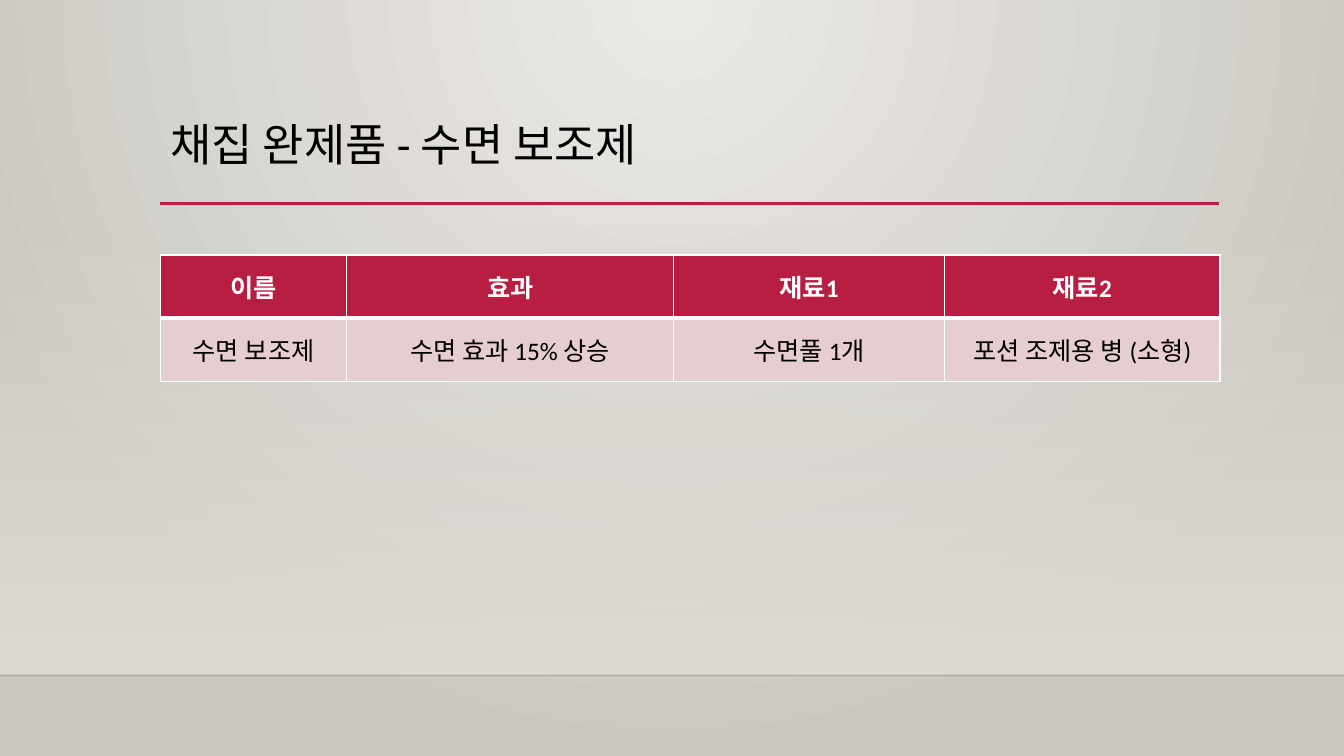
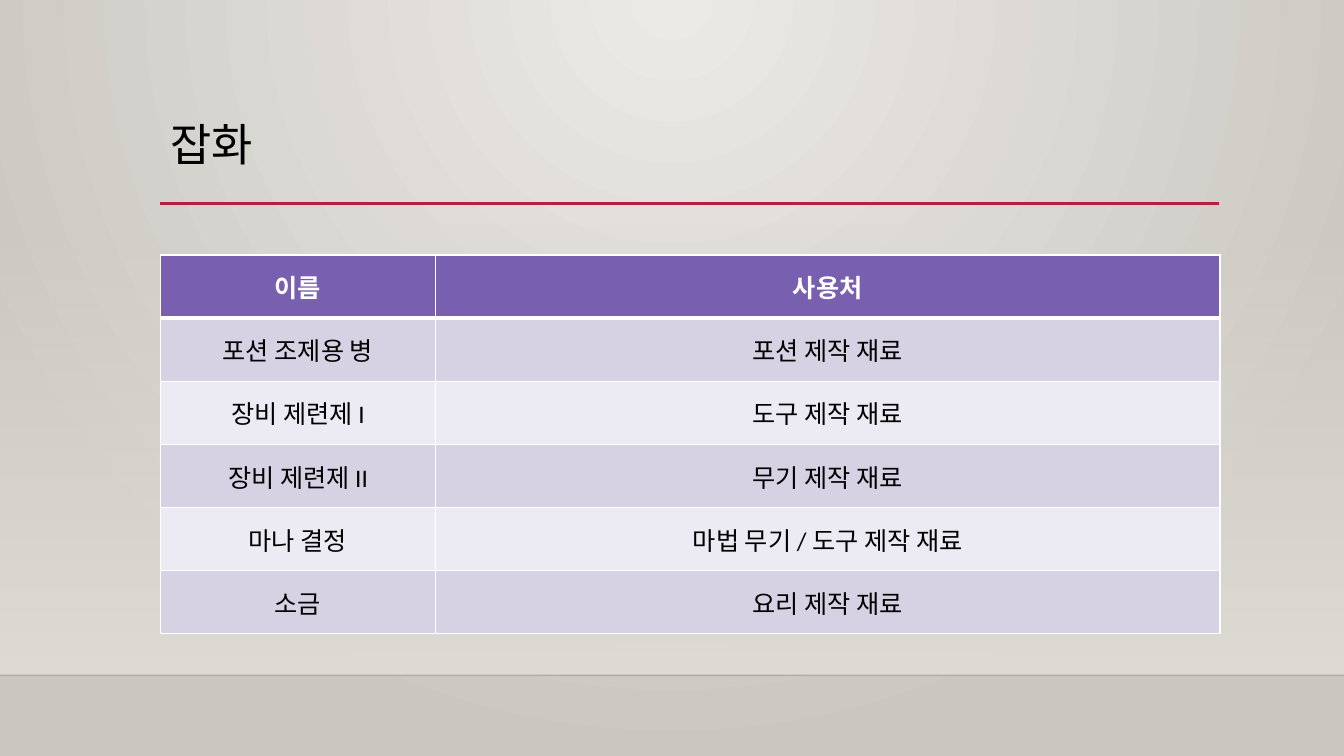
from lxml import etree
from pptx import Presentation
from pptx import util as u
from pptx.dml.color import RGBColor
from pptx.enum import shapes, text
from pptx.oxml.ns import qn

FONT = "Calibri"
BLACK = RGBColor(0x00, 0x00, 0x00)
WHITE = RGBColor(0xFF, 0xFF, 0xFF)
HORIZON = RGBColor(0x00, 0x00, 0x01)
GLOW = RGBColor(0xEC, 0xEA, 0xE7)
STONE = RGBColor(0xCA, 0xC7, 0xC1)
SAND = RGBColor(0xDF, 0xDB, 0xD5)
CRIMSON = RGBColor(0xB7, 0x1E, 0x42)
ROSE = RGBColor(0xE6, 0xCD, 0xCF)
PALE_ROSE = RGBColor(0xF3, 0xE8, 0xE9)
PURPLE = RGBColor(0x79, 0x5F, 0xAF)
LILAC = RGBColor(0xD7, 0xD2, 0xE3)
PALE_LILAC = RGBColor(0xEC, 0xEA, 0xF2)

SLIDE_WIDTH, SLIDE_HEIGHT = u.Inches(13.33), u.Inches(7.5)
LEFT, CONTENT_WIDTH = u.Inches(1.59), u.Inches(10.5)
TITLE_BOX = (LEFT, u.Inches(0.88), CONTENT_WIDTH, u.Inches(1.15))
WALL_BOX = (0, u.Inches(2.21), SLIDE_WIDTH, u.Inches(4.49))
TABLE_TOP = u.Inches(2.53)
ROW_HEIGHT = u.Inches(3.76) // 6


def add_child(parent, tag, **attributes):
    """Append a DrawingML element and return it."""
    child = etree.SubElement(parent, qn(tag))
    for name, value in attributes.items():
        child.set(name, str(value))
    return child


def set_alpha(element, percent):
    """Give the first RGB colour inside the element an opacity."""
    color = next(element.iter(qn("a:srgbClr")))
    add_child(color, "a:alpha", val=percent * 1000)


def set_gradient(fill, first, last):
    """Turn a fill into a two-colour gradient."""
    fill.gradient()
    for stop, color, position in zip(fill.gradient_stops, (first, last), (0, 1)):
        stop.color.rgb = color
        stop.position = position


def style_background(master):
    """Light the master background from the top centre."""
    set_gradient(master.background.fill, GLOW, STONE)
    gradient = next(master.element.iter(qn("a:gradFill")))
    gradient.remove(gradient.find(qn("a:lin")))
    circle = add_child(gradient, "a:path", path="circle")
    add_child(circle, "a:fillToRect", l=43000, t=0, r=43000, b=100000)


def add_rule(slide, left, top, width, color, weight):
    """Draw a horizontal line without a shadow."""
    rule = slide.shapes.add_connector(
        shapes.MSO_CONNECTOR.STRAIGHT, left, top, left + width, top)
    rule.line.color.rgb = color
    rule.line.width = u.Pt(weight)
    add_child(rule._element.spPr, "a:effectLst")
    return rule


def add_wall(slide, box):
    """Draw the wall that fades in towards the floor, and its lower edge."""
    left, top, width, height = box
    wall = slide.shapes.add_shape(shapes.MSO_SHAPE.RECTANGLE, *box)
    wall.shadow.inherit = False
    wall.line.fill.background()
    set_gradient(wall.fill, SAND, SAND)
    wall.fill.gradient_angle = 270
    set_alpha(wall._element.spPr, 0)
    horizon = add_rule(slide, left, top + height, width, HORIZON, 1)
    set_alpha(horizon._element.spPr, 20)


def add_run(paragraph, words, size, color, bold=False):
    """Add one formatted run to a paragraph."""
    run = paragraph.add_run()
    run.text = words
    run.font.name = FONT
    run.font.size = u.Pt(size)
    run.font.color.rgb = color
    run.font.bold = bold


def fill_title(slide, box, words):
    """Place the title placeholder and the red rule below it."""
    title = slide.shapes.title
    title.left, title.top, title.width, title.height = box
    frame = title.text_frame
    frame.auto_size = text.MSO_AUTO_SIZE.NONE
    frame.vertical_anchor = text.MSO_ANCHOR.MIDDLE
    paragraph = frame.paragraphs[0]
    paragraph.alignment = text.PP_ALIGN.LEFT
    paragraph.line_spacing = 0.9
    add_run(paragraph, words, 32, BLACK)
    left, top, width, height = box
    add_rule(slide, left, top + height - u.Inches(0.01), width, CRIMSON, 2.5)


def set_borders(cell, top=1, bottom=1):
    """Give a cell white borders, with top and bottom widths in points."""
    properties = cell._tc.get_or_add_tcPr()
    for side, weight in (("L", 1), ("R", 1), ("T", top), ("B", bottom)):
        line = add_child(properties, f"a:ln{side}", w=u.Pt(weight))
        solid = add_child(line, "a:solidFill")
        add_child(solid, "a:srgbClr", val=WHITE)


def add_item_table(slide, left, top, widths, rows, header_color, bands):
    """Add a table with a coloured header and alternating row colours."""
    frame = slide.shapes.add_table(len(rows), len(widths), left, top,
                                   u.Inches(sum(widths)), ROW_HEIGHT * len(rows))
    table = frame.table
    table.horz_banding = False
    for column, width in zip(table.columns, widths):
        column.width = u.Inches(width)
    for row_index, row in enumerate(rows):
        table.rows[row_index].height = ROW_HEIGHT
        is_header = row_index == 0
        for column_index, words in enumerate(row):
            cell = table.cell(row_index, column_index)
            set_borders(cell, top=3 if row_index == 1 else 1,
                        bottom=3 if is_header else 1)
            cell.fill.solid()
            cell.fill.fore_color.rgb = (
                header_color if is_header else bands[(row_index - 1) % 2])
            cell.vertical_anchor = text.MSO_ANCHOR.MIDDLE
            paragraph = cell.text_frame.paragraphs[0]
            paragraph.alignment = text.PP_ALIGN.CENTER
            add_run(paragraph, words, 18, WHITE if is_header else BLACK, is_header)


def add_table_slide(presentation, title, widths, rows, header_color, bands):
    """Add a slide with the shared backdrop, a title and one table."""
    slide = presentation.slides.add_slide(presentation.slide_layouts[5])
    add_wall(slide, WALL_BOX)
    fill_title(slide, TITLE_BOX, title)
    add_item_table(slide, LEFT, TABLE_TOP, widths, rows, header_color, bands)


def main():
    """Build and save the presentation."""
    presentation = Presentation()
    presentation.slide_width = SLIDE_WIDTH
    presentation.slide_height = SLIDE_HEIGHT
    style_background(presentation.slide_master)
    add_table_slide(
        presentation, "채집 완제품 - 수면 보조제", (1.85, 3.24, 2.69, 2.73),
        [("이름", "효과", "재료1", "재료2"),
         ("수면 보조제", "수면 효과 15% 상승", "수면풀 1개", "포션 조제용 병 (소형)")],
        CRIMSON, (ROSE, PALE_ROSE))
    add_table_slide(
        presentation, "잡화", (2.73, 7.78),
        [("이름", "사용처"),
         ("포션 조제용 병", "포션 제작 재료"),
         ("장비 제련제 I", "도구 제작 재료"),
         ("장비 제련제 II", "무기 제작 재료"),
         ("마나 결정", "마법 무기 / 도구 제작 재료"),
         ("소금", "요리 제작 재료")],
        PURPLE, (LILAC, PALE_LILAC))
    presentation.save("out.pptx")


main()
